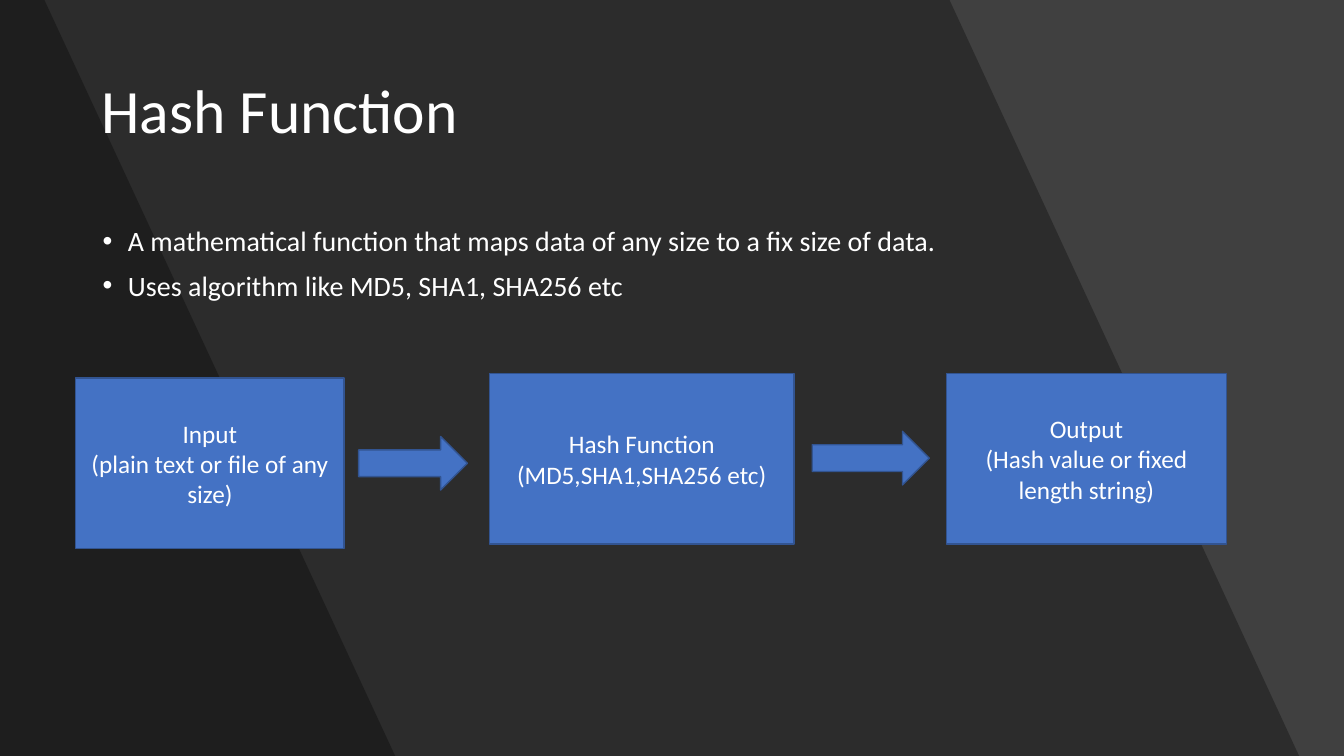
import pptx
import pptx.util
import pptx.dml.color
import pptx.enum.shapes
import pptx.enum.text
import pptx.oxml
import pptx.oxml.ns
from lxml import etree

Cm = pptx.util.Cm
Pt = pptx.util.Pt
Kind = pptx.enum.shapes.MSO_SHAPE
Align = pptx.enum.text.PP_ALIGN
Anchor = pptx.enum.text.MSO_ANCHOR
qn = pptx.oxml.ns.qn

WIDE, HIGH = 33.87, 19.05


def color(code):
    return pptx.dml.color.RGBColor.from_string(code)


def write(frame, text, size=18, ink="FFFFFF", font="Calibri", align=Align.LEFT,
          anchor=Anchor.TOP, line=1.0, before=0, after=0, bullet=None):
    frame.word_wrap = True
    frame.vertical_anchor = anchor
    items = [text] if isinstance(text, str) else text
    for place, item in enumerate(items):
        para = frame.add_paragraph() if place else frame.paragraphs[0]
        para.text = item
        para.alignment = align
        para.line_spacing = line
        para.space_before = Pt(before)
        para.space_after = Pt(after)
        for run in para.runs:
            run.font.name = font
            run.font.size = Pt(size)
            run.font.color.rgb = color(ink)
        if bullet:
            props = para._p.get_or_add_pPr()
            props.set("marL", str(Cm(0.635)))
            props.set("indent", str(-Cm(0.635)))
            etree.SubElement(props, qn("a:buFont")).set("typeface", "Arial")
            etree.SubElement(props, qn("a:buChar")).set("char", bullet)


class Deck:
    fill = "4472C4"
    edge = "325491"

    def __init__(self, back):
        self.show = pptx.Presentation()
        self.show.slide_width = Cm(WIDE)
        self.show.slide_height = Cm(HIGH)
        self.slide = self.show.slides.add_slide(self.show.slide_layouts[6])
        ground = self.slide.background.fill
        ground.solid()
        ground.fore_color.rgb = color(back)

    def shade(self, top, foot):
        pen = self.slide.shapes.build_freeform(0, 0)
        pen.add_line_segments(
            [(Cm(top), 0), (Cm(foot), Cm(HIGH)), (0, Cm(HIGH))], close=True)
        shape = pen.convert_to_shape()
        shape.shadow.inherit = False
        shape.line.fill.background()
        shape.fill.solid()
        shape.fill.fore_color.rgb = color("000000")
        tint = shape.fill._xPr.find(qn("a:solidFill"))[0]
        etree.SubElement(tint, qn("a:alpha")).set("val", "30000")

    def text(self, spot, words, **style):
        box = self.slide.shapes.add_textbox(*map(Cm, spot))
        write(box.text_frame, words, **style)

    def shape(self, kind, spot):
        shape = self.slide.shapes.add_shape(kind, *map(Cm, spot))
        shape.shadow.inherit = False
        shape.fill.solid()
        shape.fill.fore_color.rgb = color(self.fill)
        shape.line.color.rgb = color(self.edge)
        shape.line.width = Pt(1)
        return shape

    def box(self, left, top, width, words):
        shape = self.shape(Kind.RECTANGLE, (left, top, width, 4.29))
        write(shape.text_frame, words, align=Align.CENTER,
              anchor=Anchor.MIDDLE, after=6)

    def arrow(self, left, top, width):
        self.shape(Kind.RIGHT_ARROW, (left, top, width, 1.35))


def main():
    deck = Deck("404040")
    for top, foot in ((23.93, 32.74), (1.12, 9.96)):
        deck.shade(top, foot)
    deck.text((2.31, 1.02, 29.24, 3.68), "Hash Function",
              size=44, anchor=Anchor.MIDDLE, line=0.9)
    deck.text((2.34, 5.61, 29.21, 11.53),
              ["A mathematical function that maps data of any size to a fix size of data.",
               "Uses algorithm like MD5, SHA1, SHA256 etc"],
              size=20, line=0.9, before=10, bullet="•")
    deck.box(1.91, 9.53, 6.76, "Input\n(plain text or file of any size)")
    deck.arrow(9.04, 11, 2.74)
    deck.box(12.34, 9.42, 7.67, "Hash Function\n(MD5,SHA1,SHA256 etc)")
    deck.arrow(20.47, 10.87, 2.95)
    deck.box(23.85, 9.42, 7.06, "Output\n(Hash value or fixed length string)")
    deck.show.save("out.pptx")


if __name__ == "__main__":
    main()
